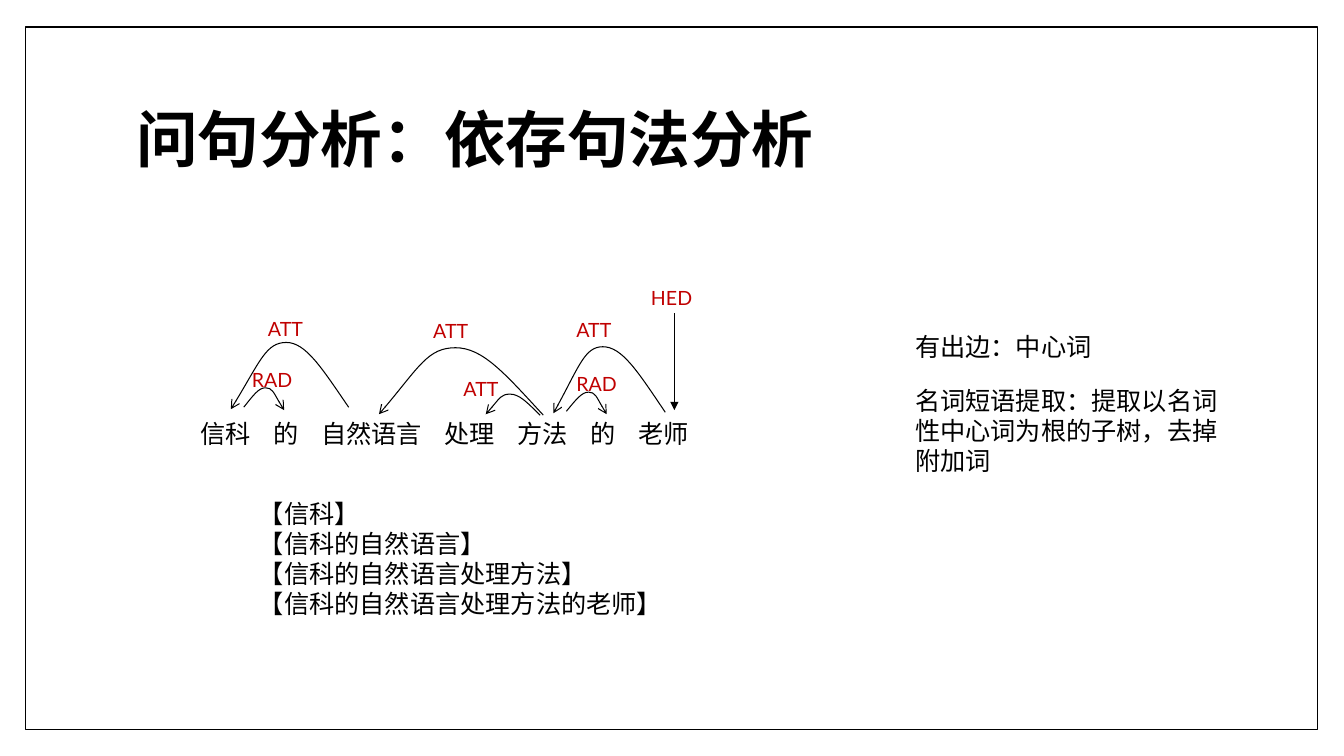
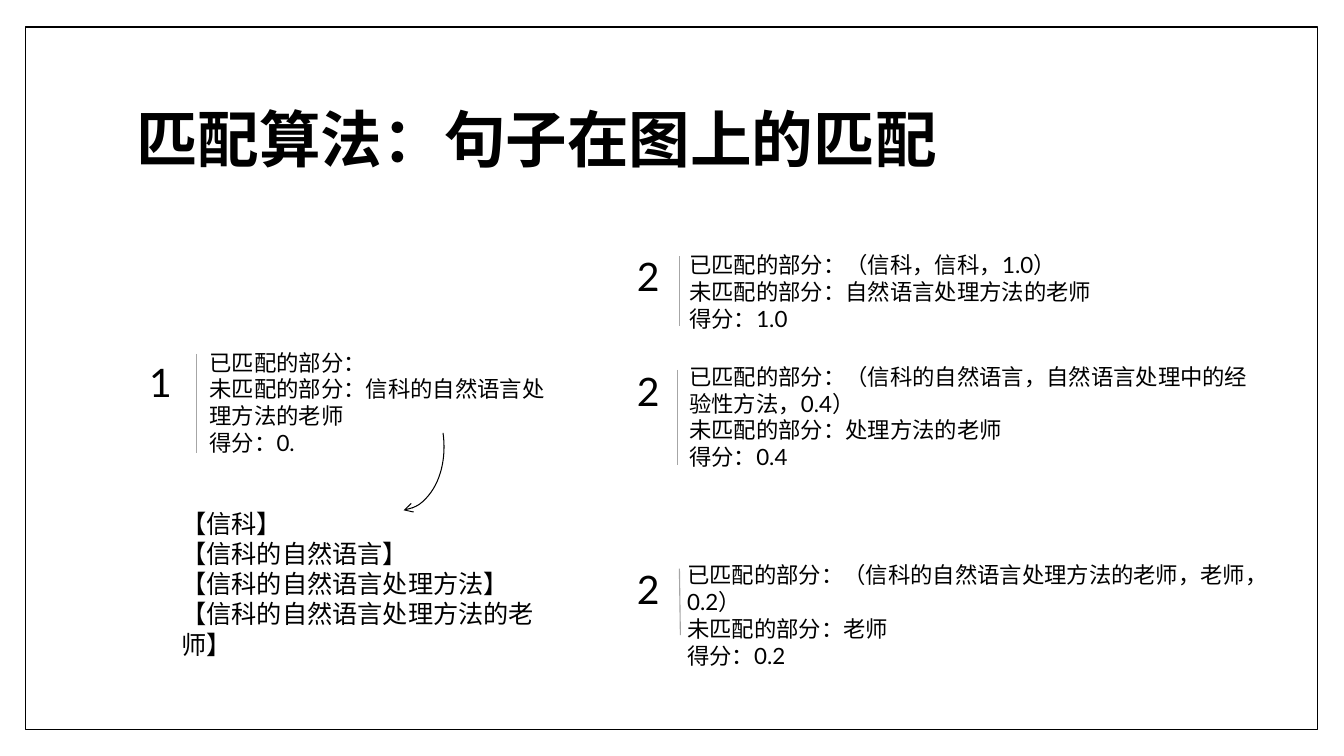
from dataclasses import dataclass

from pptx import Presentation
from pptx.dml.color import RGBColor
from pptx.enum.shapes import MSO_CONNECTOR, MSO_SHAPE
from pptx.enum.text import MSO_ANCHOR, MSO_AUTO_SIZE, PP_ALIGN
from pptx.oxml.ns import qn
from pptx.util import Pt
from lxml.etree import SubElement

BLACK = RGBColor(0x00, 0x00, 0x00)
WHITE = RGBColor(0xFF, 0xFF, 0xFF)
RED = RGBColor(0xC0, 0x00, 0x00)
GREY = RGBColor(0xA6, 0xA6, 0xA6)
LATIN, CJK = "Lato", "Noto Sans CJK SC"

TITLE = {"size": Pt(44), "bold": True, "name": LATIN}
BODY = {"size": Pt(18), "name": LATIN}
RELATION = {"size": Pt(14), "name": LATIN}
STEP_LABEL = {"size": Pt(16), "name": CJK}
STEP_VALUE = {"size": Pt(16), "name": LATIN}
STEP_NUMBER = {"size": Pt(28), "name": LATIN}

# Shape of a dependency arc, as fractions of the way to the peak and to the end
RISE = ((0.44, 0.62), (0.69, 1), (1, 1))
FALL = ((0.36, 0), (0.49, 0.32), (1, 1))

PHRASES = ["【信科】", "【信科的自然语言】", "【信科的自然语言处理方法】",
           "【信科的自然语言处理方法的老师】"]

Point = tuple[float, float]
Box = tuple[float, float, float, float]


@dataclass
class Arc:
    relation: str
    label: Point
    start: Point
    peak: Point
    end: Point


@dataclass
class Step:
    number: str
    number_at: Point
    rule: tuple[Point, Point]
    box: Box
    matched: str
    unmatched: str
    score: str


ARCS = [
    Arc("ATT", (184.3, 222.5), (249.1, 290.9), (204.5, 244.6), (164.9, 292.3)),
    Arc("RAD", (172.8, 259.2), (174.2, 290.9), (189.7, 277), (203, 293)),
    Arc("ATT", (302.4, 224.6), (388.1, 296.6), (325.4, 248.4), (270.7, 295.9)),
    Arc("ATT", (324, 265.7), (385.9, 296.6), (364.3, 281.5), (347, 295.9)),
    Arc("ATT", (404.6, 223.2), (475.2, 294.5), (430.6, 247.7), (395.3, 295.2)),
    Arc("RAD", (404.6, 262.1), (404.6, 293.8), (420.5, 280.1), (433.4, 295.9)),
]

STEPS = [
    Step("1", (99.4, 252.7), ((140.4, 252.7), (140.4, 323.3)),
         (142.6, 245.5, 259.2, 85), "", "信科的自然语言处理方法的老师", "0."),
    Step("2", (447.8, 176.4), ((485.3, 182.9), (485.3, 232.6)),
         (485.3, 175.7, 393, 67.7), "（信科，信科，1.0）",
         "自然语言处理方法的老师", "1.0"),
    Step("2", (447.8, 258.5), ((483.8, 264.2), (483.8, 331.9)),
         (485.3, 255.6, 424, 85),
         "（信科的自然语言，自然语言处理中的经验性方法，0.4）",
         "处理方法的老师", "0.4"),
    Step("2", (447.8, 400.3), ((485.3, 406.1), (486, 453.6)),
         (483.8, 397.4, 463.7, 65.5),
         "（信科的自然语言处理方法的老师，老师，0.2）", "老师", "0.2"),
]


def add_run(p, text: str, fmt: dict, color: RGBColor = BLACK) -> None:
    r = p.add_run()
    r.text = text
    for name, value in fmt.items():
        setattr(r.font, name, value)
    r.font.color.rgb = color
    SubElement(r.font._element, qn("a:ea"), typeface=CJK)


def add_frame_box(shapes, box: Box):
    """Add an empty wrapping text box and return its text frame."""
    tf = shapes.add_textbox(*map(Pt, box)).text_frame
    tf.word_wrap = True
    tf.auto_size = MSO_AUTO_SIZE.SHAPE_TO_FIT_TEXT
    return tf


def add_text(shapes, box: Box, lines: list[str], fmt: dict = BODY,
             color: RGBColor = BLACK) -> None:
    tf = add_frame_box(shapes, box)
    for i, line in enumerate(lines):
        p = tf.add_paragraph() if i else tf.paragraphs[0]
        add_run(p, line, fmt, color)


def set_line(sp, color: RGBColor, width: float, tail: str = "") -> None:
    sp.line.color.rgb = color
    sp.line.width = Pt(width)
    if tail:
        SubElement(sp.line._get_or_add_ln(), qn("a:tailEnd"), type=tail)


def add_line(shapes, start: Point, end: Point, color: RGBColor,
             tail: str = "") -> None:
    line = shapes.add_connector(MSO_CONNECTOR.STRAIGHT, *map(Pt, start + end))
    set_line(line, color, 0.79, tail)
    SubElement(line.element.spPr, qn("a:effectLst"))


def between(a: Point, b: Point, fractions) -> list[Point]:
    return [(a[0] + fx * (b[0] - a[0]), a[1] + fy * (b[1] - a[1]))
            for fx, fy in fractions]


def add_curve(shapes, start: Point, points: list[Point]) -> None:
    """Draw Bézier segments, each given by two control points and an end."""
    builder = shapes.build_freeform(Pt(start[0]), Pt(start[1]))
    builder.add_line_segments([(Pt(x), Pt(y)) for x, y in points], close=False)
    sp = builder.convert_to_shape()
    outline = next(sp.element.iter(qn("a:path")))
    for i, segment in enumerate(outline.findall(qn("a:lnTo"))):
        if i % 3 == 0:
            curve = SubElement(outline, qn("a:cubicBezTo"))
        curve.append(segment[0])
        outline.remove(segment)
    sp.shadow.inherit = False
    sp.fill.background()
    set_line(sp, BLACK, 0.75, "arrow")


def add_arc(shapes, arc: Arc) -> None:
    points = (between(arc.start, arc.peak, RISE)
              + between(arc.peak, arc.end, FALL))
    add_curve(shapes, arc.start, points)
    add_relation(shapes, arc.relation, arc.label)


def add_relation(shapes, relation: str, at: Point) -> None:
    add_text(shapes, (*at, 64, 24.5), [relation], RELATION, RED)


def add_step(shapes, step: Step) -> None:
    tf = add_frame_box(shapes, step.box)
    rows = [("已匹配的部分", step.matched), ("未匹配的部分", step.unmatched),
            ("得分", step.score)]
    for i, (label, value) in enumerate(rows):
        p = tf.add_paragraph() if i else tf.paragraphs[0]
        add_run(p, label, STEP_LABEL)
        add_run(p, "：" + value, STEP_VALUE)
    add_line(shapes, *step.rule, GREY)
    add_text(shapes, (*step.number_at, 45.4, 41), [step.number], STEP_NUMBER)


def add_master_frame(prs, s) -> None:
    """Draw the page frame and move it to the back of the slide master."""
    sp = s.shapes.add_shape(MSO_SHAPE.RECTANGLE, Pt(18), Pt(19.4), Pt(923),
                            Pt(501.8))
    sp.shadow.inherit = False
    sp.fill.solid()
    sp.fill.fore_color.rgb = WHITE
    set_line(sp, BLACK, 1)
    prs.slide_master.shapes.element.insert(2, sp.element)


def add_slide(prs, title: str):
    s = prs.slides.add_slide(prs.slide_layouts.get_by_name("Title Only"))
    sp = s.shapes.title
    place = {"left": 90, "top": 48.2, "width": 777.6, "height": 106.6}
    for name, value in place.items():
        setattr(sp, name, Pt(value))
    tf = sp.text_frame
    tf.word_wrap = True
    tf.auto_size = MSO_AUTO_SIZE.NONE
    tf.vertical_anchor = MSO_ANCHOR.MIDDLE
    p = tf.paragraphs[0]
    p.alignment = PP_ALIGN.LEFT
    p.line_spacing = 0.9
    add_run(p, title, TITLE)
    return s


def build_parsing(s) -> None:
    tree = s.shapes.add_group_shape().shapes
    add_text(tree, (136.1, 295.2, 456.5, 28.8),
             ["信科    的    自然语言    处理    方法    的    老师"])
    add_line(tree, (481.7, 223.9), (481.7, 293), BLACK, "triangle")
    add_relation(tree, "HED", (457.9, 200.9))
    for arc in ARCS:
        add_arc(tree, arc)
    add_text(s.shapes, (177.8, 352.1, 395.3, 94.3), PHRASES)
    add_text(s.shapes, (646.6, 233.3, 152.6, 28.8), ["有出边：中心词"])
    add_text(s.shapes, (646.6, 271.4, 239.8, 72.7),
             ["名词短语提取：提取以名词性中心词为根的子树，去掉附加词"])


def build_matching(s) -> None:
    for step in STEPS:
        add_step(s.shapes, step)
    sp = s.shapes.add_shape(MSO_SHAPE.ARC, Pt(230.4), Pt(278.6), Pt(101.5),
                            Pt(71.3))
    sp.rotation = 82
    sp.shadow.inherit = False
    sp.fill.background()
    set_line(sp, BLACK, 0.75, "arrow")
    add_text(s.shapes, (122.4, 359.3, 301, 94.3), PHRASES)


def main() -> None:
    prs = Presentation()
    prs.slide_width, prs.slide_height = Pt(960), Pt(540)
    parsing = add_slide(prs, "问句分析：依存句法分析")
    add_master_frame(prs, parsing)
    build_parsing(parsing)
    build_matching(add_slide(prs, "匹配算法：句子在图上的匹配"))
    prs.save("out.pptx")


if __name__ == "__main__":
    main()
